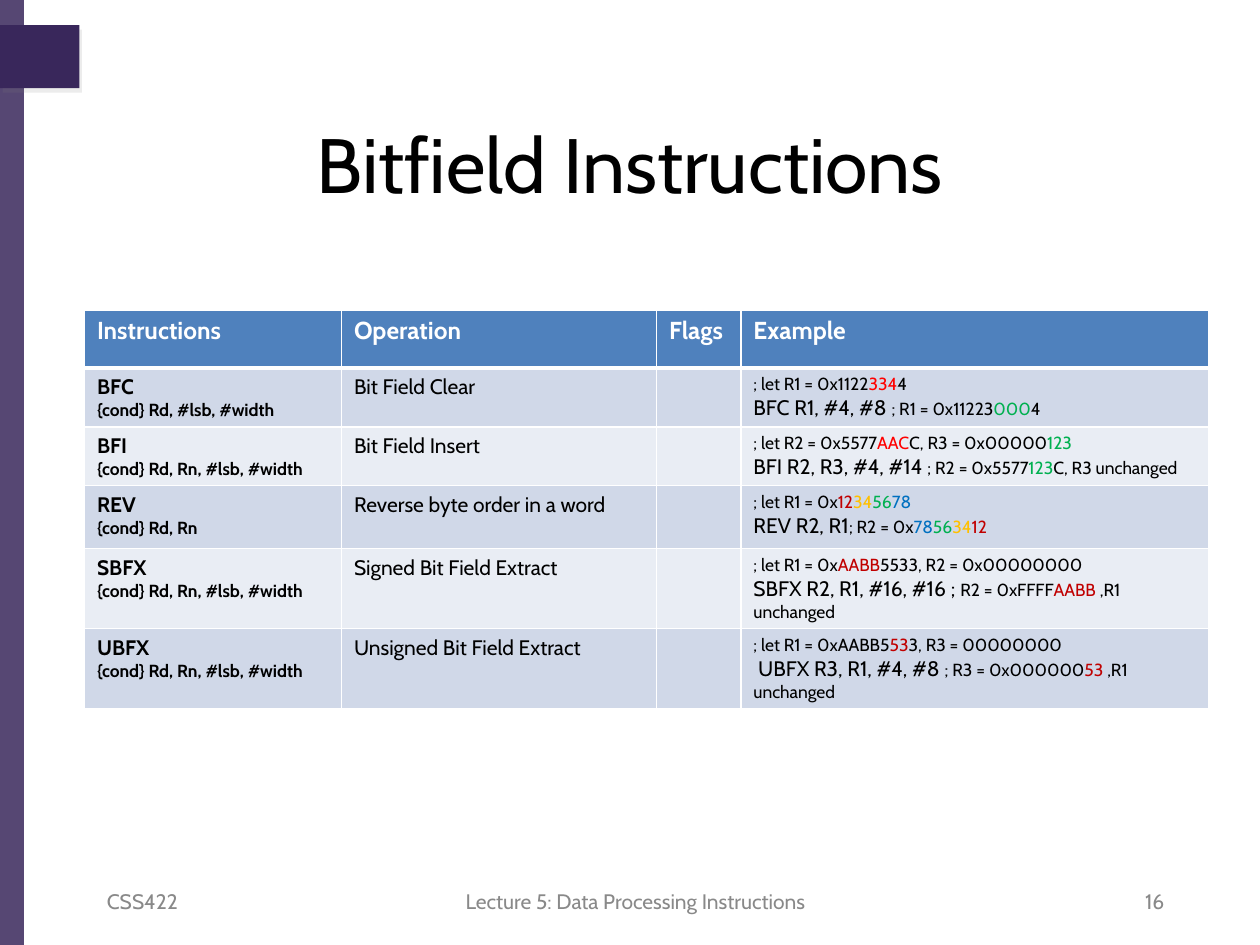
from lxml import etree
from pptx import Presentation
from pptx import util as u
from pptx.dml.color import RGBColor
from pptx.enum import shapes, text
from pptx.oxml.ns import qn

UNIT = 0.1  # grid step in inches: 100 columns by 75 rows
PURPLE, GREY, WHITE = "39275B", "898989", "FFFFFF"
HEAD, BANDS = "4F81BD", ("D0D8E8", "E9EDF4")
RED, DARK, GREEN = "FF0000", "C00000", "00B050"
GOLD, BLUE = "FFC000", "0070C0"
LEFT, MID, RIGHT = text.PP_ALIGN.LEFT, text.PP_ALIGN.CENTER, text.PP_ALIGN.RIGHT


def rgb(code):
    return RGBColor.from_string(code)


def grid(*nums):
    return [u.Inches(n * UNIT) for n in nums]


def node(up, tag, **attrs):
    return etree.SubElement(up, qn(tag), {k: str(v) for k, v in attrs.items()})


def write(par, words, size=12, color="000000", bold=False, align=LEFT):
    par.alignment = align
    run = par.add_run()
    run.text = words
    font = run.font
    font.name, font.size, font.bold = "Cabin", u.Pt(size), bold
    font.color.rgb = rgb(color)


def parts(par, items):
    """Write small runs; a plain string is black, a pair carries its colour."""
    for item in items:
        words, color = (item, "000000") if isinstance(item, str) else item
        write(par, words, size=10, color=color)


class Deck:
    def __init__(self):
        self.prs = Presentation()
        self.prs.slide_width, self.prs.slide_height = grid(100, 75)
        self.slide = self.prs.slides.add_slide(self.prs.slide_layouts[6])

    def block(self, *box, alpha=None, shade=False):
        shape = self.slide.shapes.add_shape(shapes.MSO_SHAPE.RECTANGLE, *grid(*box))
        shape.shadow.inherit = False
        shape.line.fill.background()
        shape.fill.solid()
        shape.fill.fore_color.rgb = rgb(PURPLE)
        props = shape._element.spPr
        if alpha:
            node(props.find(".//" + qn("a:srgbClr")), "a:alpha", val=alpha * 1000)
        if shade:
            cast = node(props.find(qn("a:effectLst")), "a:outerShdw", blurRad=0,
                        dist=u.Pt(3), dir=60 * 60000, algn="tl", rotWithShape=0)
            node(node(cast, "a:srgbClr", val="808080"), "a:alpha", val=15000)

    def label(self, words, *box, **style):
        frame = self.slide.shapes.add_textbox(*grid(*box)).text_frame
        frame.word_wrap = True
        frame.vertical_anchor = text.MSO_ANCHOR.MIDDLE
        write(frame.paragraphs[0], words, **style)

    def table(self, left, top, cols, rows):
        box = grid(left, top, sum(cols), sum(rows))
        table = self.slide.shapes.add_table(len(rows), len(cols), *box).table
        table.first_row = table.horz_banding = False
        for col, wide in zip(table.columns, cols):
            col.width = grid(wide)[0]
        for row, high in zip(table.rows, rows):
            row.height = grid(high)[0]
        for i, row in enumerate(table.rows):
            for cell in row.cells:
                self.dress(cell, i)
        return table

    def dress(self, cell, i):
        """Draw white rules, thick below the header, and the row's fill."""
        props = cell._tc.get_or_add_tcPr()
        for side in "LRTB":
            thick = (i, side) in ((0, "B"), (1, "T"))
            line = node(props, "a:ln" + side, w=u.Pt(3 if thick else 1))
            node(node(line, "a:solidFill"), "a:srgbClr", val=WHITE)
        cell.fill.solid()
        cell.fill.fore_color.rgb = rgb(BANDS[(i - 1) % 2] if i else HEAD)


HEADS = ("Instructions", "Operation", "Flags", "Example")
FULL = "{cond} Rd, Rn, #lsb, #width"
# name, arguments, operation, setup line, command, result
CODES = [
    ("BFC", "{cond} Rd, #lsb, #width", "Bit Field Clear",
     ["; let R1 = 0x1122", ("334", RED), "4"],
     "BFC R1, #4, #8 ", ["; R1 = 0x11223", ("000", GREEN), "4"]),
    ("BFI", FULL, "Bit Field Insert",
     ["; let R2 = 0x5577", ("AAC", RED), "C, R3 = 0x00000", ("123", GREEN)],
     "BFI R2, R3, #4, #14 ",
     ["; R2 = 0x5577", ("123", GREEN), "C, R3 unchanged"]),
    ("REV", "{cond} Rd, Rn", "Reverse byte order in a word",
     ["; let R1 = 0x", ("12", DARK), ("34", GOLD), ("56", GREEN), ("78", BLUE)],
     "REV R2, R1",
     ["; R2 = 0x", ("78", BLUE), ("56", GREEN), ("34", GOLD), ("12", DARK)]),
    ("SBFX", FULL, "Signed Bit Field Extract",
     ["; let R1 = 0x", ("AABB", DARK), "5533, R2 = 0x00000000"],
     "SBFX R2, R1, #16, #16 ; ",
     ["R2 = 0xFFFF", ("AABB ", DARK), ",R1 unchanged"]),
    ("UBFX", FULL, "Unsigned Bit Field Extract",
     ["; let R1 = 0xAABB5", ("53", DARK), "3, R3 = 00000000"],
     " UBFX R3, R1, #4, #8 ",
     ["; R3 = 0x000000", ("53 ", DARK), ",R1 unchanged"]),
]


def main():
    deck = Deck()

    # Side band and corner tab
    deck.block(0, 0, 1.9, 75, alpha=85)
    deck.block(0, 2, 6.3, 5, shade=True)

    # Title and footer
    deck.label("Bitfield Instructions", 5, 8.3, 90, 9.2, size=44, align=MID)
    for words, left, wide, align in (
            ("CSS422", 7.5, 23.3, LEFT),
            ("Lecture 5: Data Processing Instructions", 34.6, 31.7, MID),
            ("16", 70.1, 23.3, RIGHT)):
        deck.label(words, left, 69.5, wide, 4, color=GREY, align=align)

    # Instruction table
    table = deck.table(6.7, 24.6, (20.4, 25, 6.7, 37.1),
                       (4.6, 4.5, 4.5, 5, 4.5, 5))
    for col, head in enumerate(HEADS):
        write(table.cell(0, col).text_frame.paragraphs[0], head,
              size=14, color=WHITE, bold=True)
    for row, (name, args, task, setup, command, result) in enumerate(CODES, 1):
        code, work, _, demo = (table.cell(row, c).text_frame for c in range(4))
        write(code.paragraphs[0], name, bold=True)
        write(code.add_paragraph(), args, size=10, bold=True)
        write(work.paragraphs[0], task)
        parts(demo.paragraphs[0], setup)
        last = demo.add_paragraph()
        write(last, command)
        parts(last, result)

    deck.prs.save("out.pptx")


if __name__ == "__main__":
    main()
